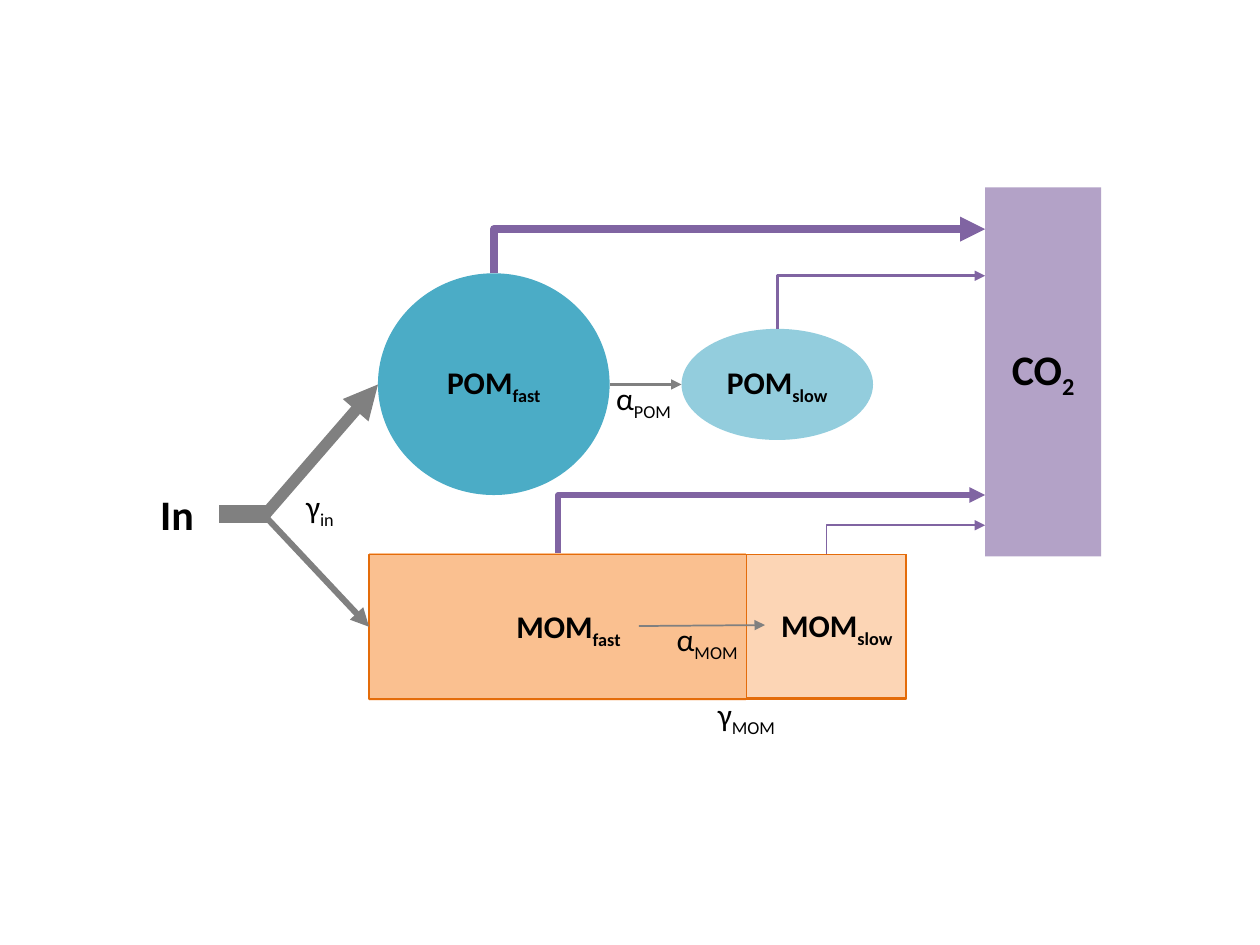
from dataclasses import dataclass

from lxml import etree
from pptx import Presentation
from pptx import util as u
from pptx.dml.color import RGBColor
from pptx.enum import shapes, text
from pptx.oxml.ns import qn


@dataclass(frozen=True)
class Theme:
    font: str = "Calibri"
    body: int = 18
    large: int = 24
    ink: str = "000000"
    flow: str = "808080"
    respiration: str = "8064A2"
    pom_fast: str = "4BACC6"
    pom_slow: str = "93CDDD"
    mom_fast: str = "FAC090"
    mom_slow: str = "FCD5B5"
    mom_edge: str = "E46C0A"
    co2: str = "B3A2C7"


THEME = Theme()
OVAL = shapes.MSO_SHAPE.OVAL
RECTANGLE = shapes.MSO_SHAPE.RECTANGLE
LABEL_HEIGHT = 1.02


def cm(*lengths):
    return [u.Cm(length) for length in lengths]


def write(frame, base, sub="", size=THEME.body, bold=False,
          align=text.PP_ALIGN.CENTER, anchor=text.MSO_ANCHOR.MIDDLE):
    frame.vertical_anchor = anchor
    paragraph = frame.paragraphs[0]
    paragraph.alignment = align
    for words, offset in ((base, None), (sub, "-25000")):
        if not words:
            continue
        run = paragraph.add_run()
        run.text = words
        run.font.name = THEME.font
        run.font.size = u.Pt(size)
        run.font.bold = bold
        run.font.color.rgb = RGBColor.from_string(THEME.ink)
        if offset:
            run.font._element.set("baseline", offset)


def add_pool(parent, kind, box, fill=None, edge=None):
    pool = parent.add_shape(kind, *cm(*box))
    pool.shadow.inherit = False
    if fill:
        pool.fill.solid()
        pool.fill.fore_color.rgb = RGBColor.from_string(fill)
    else:
        pool.fill.background()
    if edge:
        pool.line.color.rgb = RGBColor.from_string(edge)
        pool.line.width = u.Pt(1)
    else:
        pool.line.fill.background()
    return pool


def add_label(parent, left, top, width, base, sub, **style):
    label = parent.add_textbox(*cm(left, top, width, LABEL_HEIGHT))
    label.text_frame.word_wrap = False
    label.text_frame.auto_size = text.MSO_AUTO_SIZE.SHAPE_TO_FIT_TEXT
    write(label.text_frame, base, sub, anchor=text.MSO_ANCHOR.TOP,
          **{"align": text.PP_ALIGN.LEFT, **style})


def style_line(connector, color, weight, arrow=True):
    connector.line.color.rgb = RGBColor.from_string(color)
    connector.line.width = u.Pt(weight)
    if arrow:
        etree.SubElement(connector.line._get_or_add_ln(), qn("a:tailEnd"), type="triangle")
    etree.SubElement(connector._element.spPr, qn("a:effectLst"))


def add_flow(parent, start, end, weight, arrow=True):
    flow = parent.add_connector(shapes.MSO_CONNECTOR.STRAIGHT, *cm(*start, *end))
    style_line(flow, THEME.flow, weight, arrow)
    return flow


def add_respiration(parent, start, end, weight):
    run, rise = end[0] - start[0], start[1] - end[1]
    center_x, center_y = (start[0] + end[0]) / 2, (start[1] + end[1]) / 2
    elbow = parent.add_connector(
        shapes.MSO_CONNECTOR.ELBOW,
        *cm(center_x + rise / 2, center_y + run / 2,
            center_x - rise / 2, center_y - run / 2))
    properties = elbow._element.spPr
    properties.find(qn("a:xfrm")).set("rot", "5400000")
    properties.find(qn("a:prstGeom")).set("prst", "bentConnector2")
    style_line(elbow, THEME.respiration, weight)


def add_mom(slide):
    mom = slide.shapes.add_group_shape().shapes
    add_pool(mom, RECTANGLE, (15.04, 11.18, 3.22, 2.9), THEME.mom_slow, THEME.mom_edge)
    mom_fast = add_pool(mom, RECTANGLE, (7.44, 11.15, 7.6, 2.97), THEME.mom_fast)
    add_label(mom, 13.39, 12.37, 1.88, "α", "MOM")
    add_flow(mom, (12.88, 12.62), (15.42, 12.6), 1)
    add_label(mom, 10.16, 12.12, 2.74, "MOM", "fast", bold=True)
    add_label(mom, 15.42, 12.09, 2.9, "MOM", "slow", bold=True,
              align=text.PP_ALIGN.CENTER)
    add_label(mom, 14.22, 13.89, 1.8, "γ", "MOM")
    add_pool(mom, RECTANGLE, (7.44, 11.18, 10.82, 2.92), edge=THEME.mom_edge)
    return mom_fast


def add_pom(slide):
    for box, fill, speed in (
        ((7.62, 5.51, 4.67, 4.47), THEME.pom_fast, "fast"),
        ((13.74, 6.63, 3.86, 2.24), THEME.pom_slow, "slow"),
    ):
        pool = add_pool(slide.shapes, OVAL, box, fill)
        write(pool.text_frame, "POM", speed, bold=True)
    add_flow(slide.shapes, (12.29, 7.75), (13.74, 7.75), 1.75)
    add_label(slide.shapes, 12.17, 7.52, 1.75, "α", "POM")


def add_input(slide, mom_fast):
    split = (5.33, 10.39)
    add_flow(slide.shapes, split, (7.62, 7.75), 6.5)
    add_flow(slide.shapes, (5.41, 10.36), (4.42, 10.36), 10, arrow=False)
    add_flow(slide.shapes, split, (7.44, 12.63), 3.5).end_connect(mom_fast, 1)
    source = slide.shapes.add_textbox(*cm(2.72, 9.5, 1.7, 1.7))
    source.text_frame.word_wrap = True
    write(source.text_frame, "In", size=THEME.large, bold=True)
    add_label(slide.shapes, 5.92, 9.7, 1.12, "γ", "in")


def add_co2(slide):
    left = 19.86
    for x, top, level, weight in (
        (11.25, 11.15, 9.98, 3),
        (16.66, 11.18, 10.59, 1),
        (9.96, 5.51, 4.62, 4.75),
        (15.67, 6.63, 5.56, 1.75),
    ):
        add_respiration(slide.shapes, (x, top), (left, level), weight)
    co2 = add_pool(slide.shapes, RECTANGLE, (left, 3.78, 2.34, 7.44), THEME.co2)
    write(co2.text_frame, "CO", "2", size=THEME.large, bold=True)


def main():
    deck = Presentation()
    deck.slide_width, deck.slide_height = cm(25.4, 19.05)
    slide = deck.slides.add_slide(deck.slide_layouts[6])
    add_pom(slide)
    mom_fast = add_mom(slide)
    add_input(slide, mom_fast)
    add_co2(slide)
    deck.save("out.pptx")


if __name__ == "__main__":
    main()
